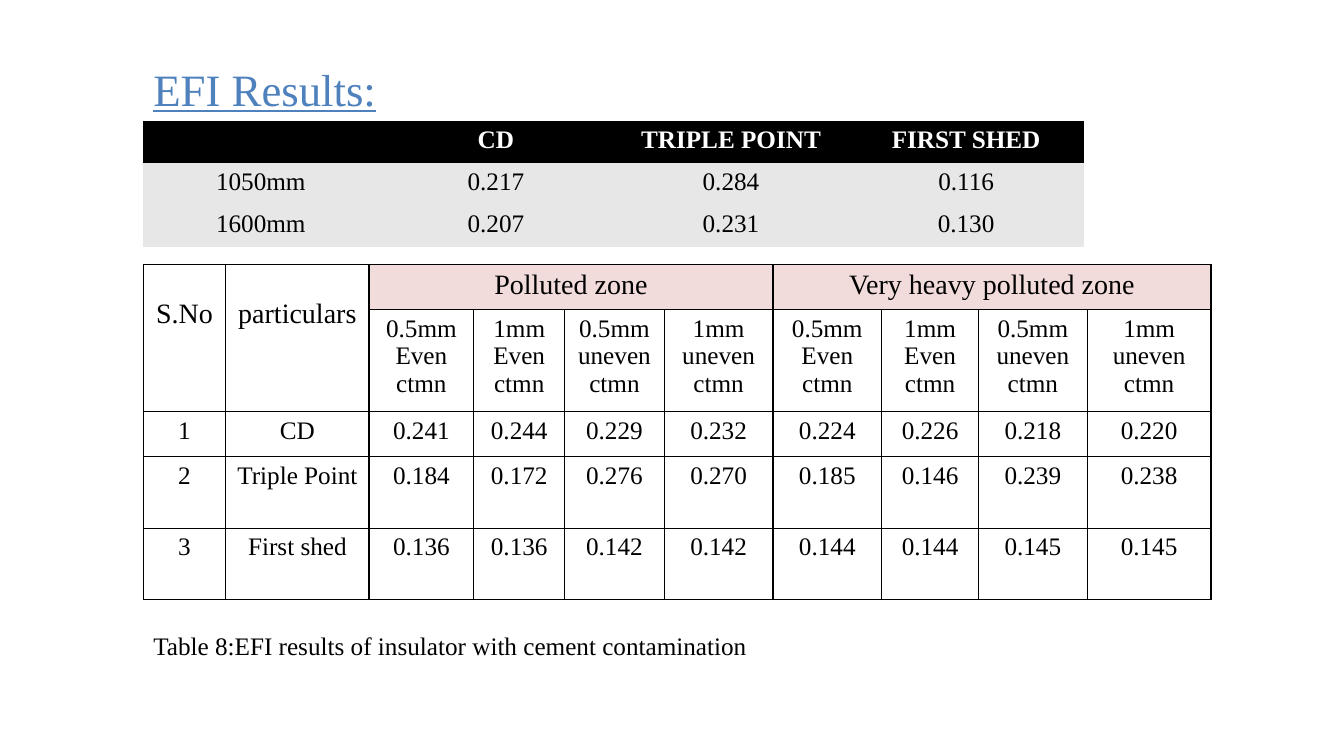
import lxml.etree
import pptx
import pptx.dml.color
import pptx.enum.text
import pptx.oxml.ns
import pptx.util

Cm = pptx.util.Cm
Pt = pptx.util.Pt
qn = pptx.oxml.ns.qn
ALIGN = pptx.enum.text.PP_ALIGN
ANCHOR = pptx.enum.text.MSO_ANCHOR

COLOURS = {
    "title": "4F81BD",
    "ink": "000000",
    "paper": "FFFFFF",
    "zone": "F2DCDB",
    "band": "E7E7E7",
}
FONT = "Times New Roman"
PLAIN_TABLE_STYLE = "{2D5ABB26-0587-4C30-8999-92F81FD0307C}"
LEFT = 3.61

HEIGHT_ROWS = [
    ["", "CD", "TRIPLE POINT", "FIRST SHED"],
    ["1050mm", "0.217", "0.284", "0.116"],
    ["1600mm", "0.207", "0.231", "0.130"],
]
ZONES = ["Polluted zone", "Very heavy polluted zone"]
LAYERS = ["0.5mm\nEven ctmn", "1mm\nEven ctmn", "0.5mm\nuneven ctmn", "1mm\nuneven ctmn"]
CONTAMINATION_ROWS = [
    ["1", "CD", "0.241", "0.244", "0.229", "0.232", "0.224", "0.226", "0.218", "0.220"],
    ["2", "Triple Point", "0.184", "0.172", "0.276", "0.270", "0.185", "0.146", "0.239", "0.238"],
    ["3", "First shed", "0.136", "0.136", "0.142", "0.142", "0.144", "0.144", "0.145", "0.145"],
]
CONTAMINATION_WIDTHS = [2.08, 3.61, 2.64, 2.29, 2.51, 2.74, 2.74, 2.44, 2.74, 3.12]
CONTAMINATION_HEIGHTS = [1.14, 2.57, 1.14, 1.8, 1.8]


def write(frame, text, align=ALIGN.CENTER, colour="ink", **font_values):
    frame.text = text
    values = {"name": FONT, "size": Pt(18), "bold": False, **font_values}
    for paragraph in frame.paragraphs:
        paragraph.alignment = align
        for run in paragraph.runs:
            for key, value in values.items():
                setattr(run.font, key, value)
            run.font.color.rgb = pptx.dml.color.RGBColor.from_string(COLOURS[colour])


def fill_cell(cell, colour):
    cell.fill.solid()
    cell.fill.fore_color.rgb = pptx.dml.color.RGBColor.from_string(COLOURS[colour])


def outline_cell(cell):
    properties = cell._tc.get_or_add_tcPr()
    for side in ("a:lnL", "a:lnR", "a:lnT", "a:lnB"):
        border = lxml.etree.SubElement(properties, qn(side), w=str(Pt(1)))
        paint = lxml.etree.SubElement(border, qn("a:solidFill"))
        lxml.etree.SubElement(paint, qn("a:srgbClr"), val=COLOURS["ink"])


def add_plain_table(slide, left, top, widths, heights):
    table = slide.shapes.add_table(
        len(heights), len(widths), Cm(left), Cm(top), Cm(sum(widths)), Cm(sum(heights))
    ).table
    table.horz_banding = False
    table._tbl.tblPr.find(qn("a:tableStyleId")).text = PLAIN_TABLE_STYLE
    for column, width in zip(table.columns, widths):
        column.width = Cm(width)
    for row, height in zip(table.rows, heights):
        row.height = Cm(height)
    return table


def add_title(slide, left, top, width, height):
    title = slide.shapes.title
    box = {"left": left, "top": top, "width": width, "height": height}
    for key, value in box.items():
        setattr(title, key, Cm(value))
    title.text_frame.vertical_anchor = ANCHOR.TOP
    write(title.text_frame, "EFI Results:", ALIGN.LEFT, "title", size=Pt(32), underline=True)


def add_height_table(slide, left, top, width, height):
    columns, rows = len(HEIGHT_ROWS[0]), len(HEIGHT_ROWS)
    table = add_plain_table(slide, left, top, [width / columns] * columns, [height / rows] * rows)
    for r, texts in enumerate(HEIGHT_ROWS):
        header = r == 0
        for c, text in enumerate(texts):
            cell = table.cell(r, c)
            fill_cell(cell, "ink" if header else "band")
            write(cell.text_frame, text, colour="paper" if header else "ink", bold=header)


def add_contamination_table(slide, left, top):
    table = add_plain_table(slide, left, top, CONTAMINATION_WIDTHS, CONTAMINATION_HEIGHTS)
    for cell in table.iter_cells():
        outline_cell(cell)
        fill_cell(cell, "paper")
    for c, heading in enumerate(["S.No", "particulars"]):
        cell = table.cell(0, c)
        cell.merge(table.cell(1, c))
        cell.margin_top = Cm(0.86)
        write(cell.text_frame, heading, size=Pt(20))
    for z, zone in enumerate(ZONES):
        first = 2 + z * len(LAYERS)
        cell = table.cell(0, first)
        cell.merge(table.cell(0, first + len(LAYERS) - 1))
        fill_cell(cell, "zone")
        write(cell.text_frame, zone, size=Pt(20))
        for i, layer in enumerate(LAYERS):
            write(table.cell(1, first + i).text_frame, layer)
    for r, texts in enumerate(CONTAMINATION_ROWS, start=2):
        for c, text in enumerate(texts):
            write(table.cell(r, c).text_frame, text)


def add_caption(slide, left, top, width, height):
    caption = slide.shapes.add_textbox(Cm(left), Cm(top), Cm(width), Cm(height))
    caption.text_frame.word_wrap = False
    write(caption.text_frame, "Table 8:EFI results of insulator with cement contamination")


def main():
    deck = pptx.Presentation()
    deck.slide_width, deck.slide_height = Cm(33.87), Cm(19.05)
    slide = deck.slides.add_slide(deck.slide_layouts[5])
    add_contamination_table(slide, LEFT, 6.66)
    add_title(slide, LEFT, 1.42, 7.97, 1.63)
    add_caption(slide, LEFT, 15.77, 15.47, 1.02)
    add_height_table(slide, LEFT, 3.05, 23.7, 3.18)
    deck.save("out.pptx")


if __name__ == "__main__":
    main()
